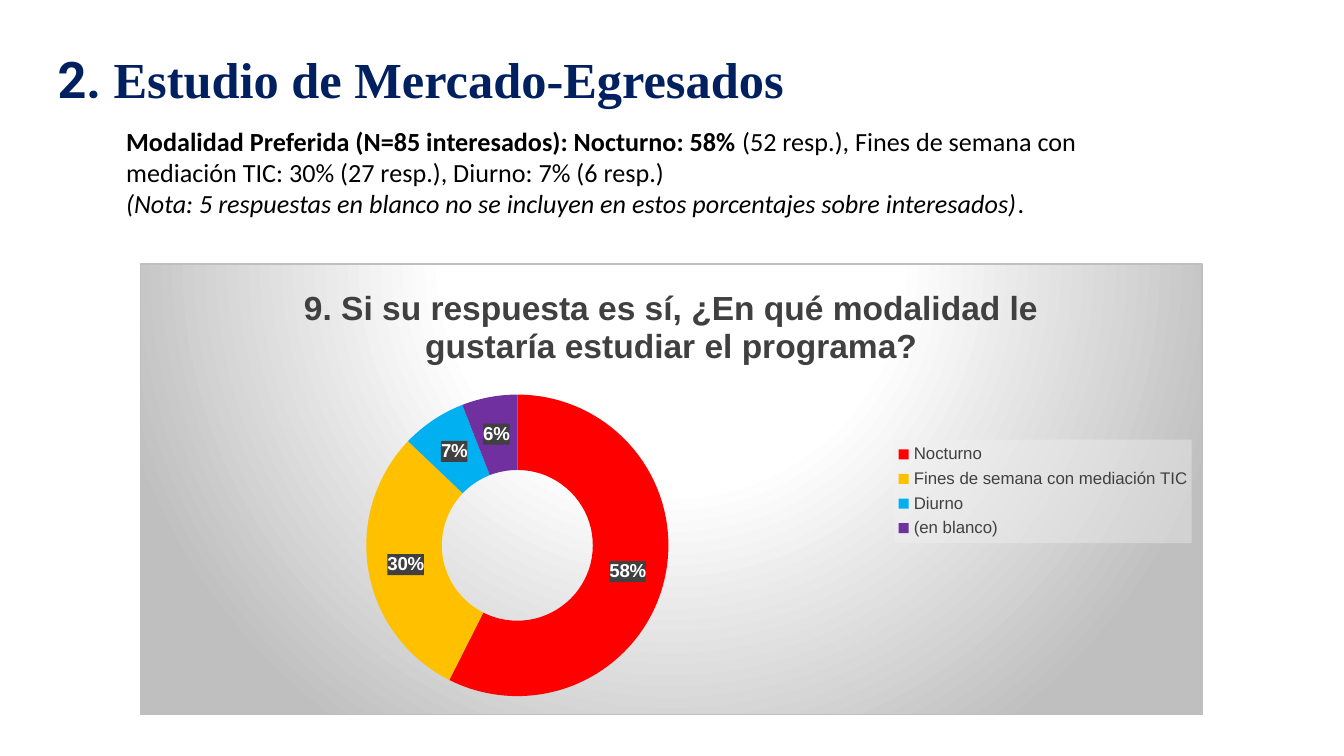
from lxml import etree
from pptx import Presentation
from pptx import util as u
from pptx.chart.data import CategoryChartData
from pptx.dml.color import RGBColor
from pptx.enum import chart as ch
from pptx.oxml.ns import qn

COLORS = {"navy": "002060", "black": "000000", "white": "FFFFFF", "gray": "404040",
          "silver": "BFBFBF", "pale": "F2F2F2", "Nocturno": "FF0000",
          "Fines de semana con mediación TIC": "FFC000",
          "Diurno": "00B0F0", "(en blanco)": "7030A0"}
SHARES = {"Nocturno": 58, "Fines de semana con mediación TIC": 30,
          "Diurno": 7, "(en blanco)": 6}
NS = ('xmlns:c="http://schemas.openxmlformats.org/drawingml/2006/chart" '
      'xmlns:a="http://schemas.openxmlformats.org/drawingml/2006/main"')


def style(font, name, size, color, bold=False, italic=False):
    font.name, font.size, font.bold, font.italic = name, u.Pt(size), bold, italic
    font.color.rgb = RGBColor.from_string(COLORS[color])


def chart_xml(body):
    """Parse a chart element written without namespace declarations."""
    return etree.fromstring(body.replace(">", f" {NS}>", 1))


prs = Presentation()
prs.slide_width = u.Inches(10)
prs.slide_height = u.Inches(10 * 9 / 16)
s = prs.slides.add_slide(prs.slide_layouts[6])

# Summary and heading: box, top and bottom inset, runs
boxes = [
    ((0.84, 0.83, 7.91, 0.91), 0.1, [
        ("Modalidad Preferida (N=85 interesados): Nocturno: 58%",
         ("Calibri", 14, "black", True)),
        ("\u00a0(52 resp.), Fines de semana con mediación TIC: 30% (27 resp.), "
         "Diurno: 7% (6 resp.)\n", ("Calibri", 14, "black")),
        ("(Nota: 5 respuestas en blanco no se incluyen en estos porcentajes sobre "
         "interesados)", ("Calibri", 14, "black", False, True)),
        (".", ("Calibri", 14, "black"))]),
    ((0.33, 0.31, 8.76, 0.56), 0.05, [
        ("2. ", ("Roboto", 27, "navy", True)),
        ("Estudio de Mercado-Egresados", ("Times New Roman", 27, "navy", True))]),
]
for box, inset, runs in boxes:
    tf = s.shapes.add_textbox(*map(u.Inches, box)).text_frame
    tf.word_wrap = True
    tf.margin_left = tf.margin_right = u.Inches(0.1)
    tf.margin_top = tf.margin_bottom = u.Inches(inset)
    p = tf.paragraphs[0]
    for words, look in runs:
        r = p.add_run()
        r.text = words.rstrip("\n")
        style(r.font, *look)
        if words.endswith("\n"):
            p.add_line_break()

# Doughnut chart
data = CategoryChartData()
data.categories = list(SHARES)
data.add_series("Series 1", list(SHARES.values()))
chart = s.shapes.add_chart(ch.XL_CHART_TYPE.DOUGHNUT,
                           *map(u.Inches, (1.04, 1.96, 7.91, 3.36)), data).chart
style(chart.font, "Arial", 10, "black")

chart.has_title = True
tf = chart.chart_title.text_frame
tf.text = "9. Si su respuesta es sí, ¿En qué modalidad le gustaría estudiar el programa?"
style(tf.paragraphs[0].runs[0].font, "Arial", 18, "gray", True)
chart.chart_title.include_in_layout = False

chart.has_legend = True
legend = chart.legend
legend.position = ch.XL_LEGEND_POSITION.RIGHT
legend.include_in_layout = False
style(legend.font, "Arial", 9, "gray")

plot = chart.plots[0]
plot.vary_by_categories = True
for i, name in enumerate(SHARES):
    fill = plot.series[0].points[i].format.fill
    fill.solid()
    fill.fore_color.rgb = RGBColor.from_string(COLORS[name])

labels = plot.series[0].data_labels
labels.show_value = True
labels.show_percentage = False
labels.number_format, labels.number_format_is_linked = '0"%"', False
style(labels.font, "Arial", 10, "white", True)

# Translucent backing of the legend and the labels
legend_el = chart._chartSpace.find(".//" + qn("c:legend"))
labels_el = chart._chartSpace.find(".//" + qn("c:ser")).find(qn("c:dLbls"))
for el, color, alpha in ((legend_el, "pale", 39000), (labels_el, "gray", 75000)):
    el.find(qn("c:txPr")).addprevious(chart_xml(
        f'<c:spPr><a:solidFill><a:srgbClr val="{COLORS[color]}">'
        f'<a:alpha val="{alpha}"/></a:srgbClr></a:solidFill></c:spPr>'))

# Places of the ring and the legend, as fractions of the chart
plot_area = chart._chartSpace.find(".//" + qn("c:plotArea"))
for el, inner, place in ((plot_area, '<c:layoutTarget val="inner"/>', (0.21, 0.29, 0.29, 0.67)),
                         (legend_el, "", (0.71, 0.39, 0.28, 0.23))):
    for old in el.findall(qn("c:layout")):
        el.remove(old)
    sizes = "".join(f'<c:{k} val="{v}"/>' for k, v in zip("xywh", place))
    layout = chart_xml('<c:layout><c:manualLayout>' + inner +
                       '<c:xMode val="edge"/><c:yMode val="edge"/>' + sizes +
                       '</c:manualLayout></c:layout>')
    el.insert(0 if el is plot_area else 1, layout)

# Radial background with a thin border
stops = "".join(f'<a:gs pos="{pos}"><a:srgbClr val="{COLORS[color]}"/></a:gs>'
                for pos, color in ((0, "white"), (39000, "white"), (100000, "silver")))
chart._chartSpace.find(qn("c:chart")).addnext(chart_xml(
    f'<c:spPr><a:gradFill><a:gsLst>{stops}</a:gsLst><a:path path="circle">'
    '<a:fillToRect l="50000" t="-80000" r="50000" b="180000"/></a:path></a:gradFill>'
    f'<a:ln w="9525"><a:solidFill><a:srgbClr val="{COLORS["silver"]}"/></a:solidFill></a:ln>'
    '</c:spPr>'))

prs.save("out.pptx")
